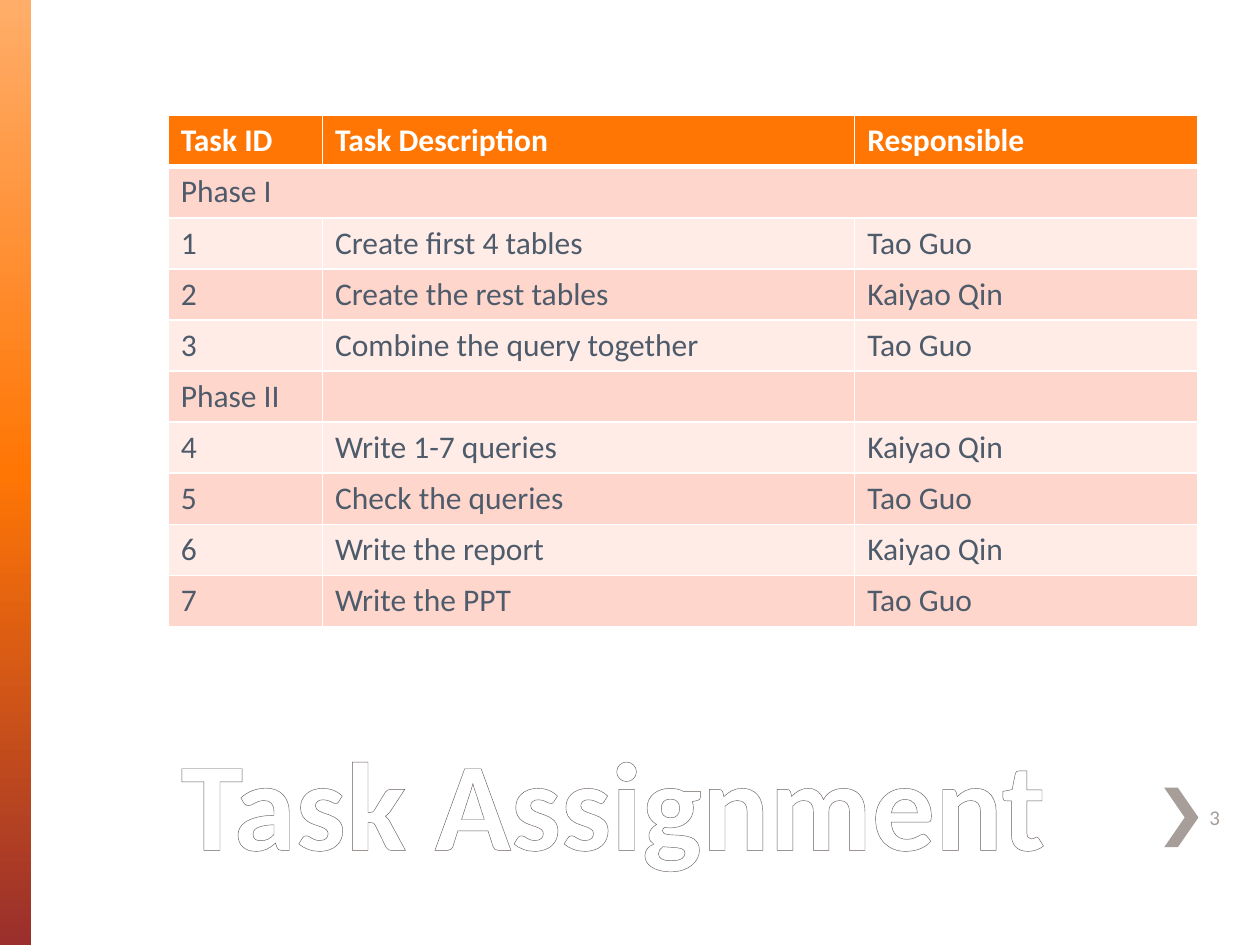
import copy

import lxml.etree
import pptx
import pptx.dml.color
import pptx.enum.shapes
import pptx.enum.text
import pptx.oxml.ns
import pptx.util

Cm = pptx.util.Cm
Pt = pptx.util.Pt
qn = pptx.oxml.ns.qn

FONT = "Calibri"
COLORS = {
    "white": "FFFFFF",
    "peach": "FFAD69",
    "orange": "FF7605",
    "brick": "9A2F2C",
    "taupe": "A79D99",
    "outline": "675D59",
    "slate": "4D5B6B",
    "band_dark": "FFD6CC",
    "band_light": "FFECE7",
}
TASKS = [
    ("Task ID", "Task Description", "Responsible"),
    ("Phase I", "", ""),
    ("1", "Create first 4 tables", "Tao Guo"),
    ("2", "Create the rest tables", "Kaiyao Qin"),
    ("3", "Combine the query together", "Tao Guo"),
    ("Phase II", "", ""),
    ("4", "Write 1-7 queries ", "Kaiyao Qin"),
    ("5", "Check the queries", "Tao Guo"),
    ("6", "Write the report", "Kaiyao Qin"),
    ("7", "Write the PPT", "Tao Guo"),
]


def rgb(name):
    return pptx.dml.color.RGBColor.from_string(COLORS[name])


def write(frame, text, size, color, bold=False):
    frame.text = text
    for run in frame.paragraphs[0].runs:
        run.font.name = FONT
        run.font.size = Pt(size)
        run.font.bold = bold
        run.font.color.rgb = rgb(color)


def add_line(parent, tag, position, width, color):
    line = lxml.etree.Element(qn(tag), w=str(Pt(width)))
    fill = lxml.etree.SubElement(line, qn("a:solidFill"))
    lxml.etree.SubElement(fill, qn("a:srgbClr"), val=COLORS[color])
    parent.insert(position, line)


def add_side_bar(slide, left, top, width, height):
    bar = slide.shapes.add_shape(
        pptx.enum.shapes.MSO_SHAPE.RECTANGLE, left, top, width, height)
    bar.shadow.inherit = False
    bar.line.fill.background()
    bar.fill.gradient()
    bar.fill.gradient_angle = 270
    stop_list = bar.element.spPr.find(".//" + qn("a:gsLst"))
    stop_list.append(copy.deepcopy(stop_list[0]))
    shades = [("peach", 0), ("orange", 0.5), ("brick", 1)]
    for stop, (color, position) in zip(bar.fill.gradient_stops, shades):
        stop.color.rgb = rgb(color)
        stop.position = position


def add_title(slide, left, top, width, height):
    title = slide.shapes.title
    title.left, title.top, title.width, title.height = left, top, width, height
    frame = title.text_frame
    write(frame, "Task Assignment", 72, "white", True)
    frame.auto_size = pptx.enum.text.MSO_AUTO_SIZE.NONE
    frame.vertical_anchor = pptx.enum.text.MSO_ANCHOR.BOTTOM
    heading = frame.paragraphs[0]
    heading.alignment = pptx.enum.text.PP_ALIGN.LEFT
    add_line(heading.runs[0].font._element, "a:ln", 0, 1, "outline")


def add_task_table(slide, left, top, width, height):
    tasks = slide.shapes.add_table(
        len(TASKS), len(TASKS[0]), left, top, width, height).table
    for column, share in zip(tasks.columns, (0.15, 0.517, 0.333)):
        column.width = int(width * share)
    for row_number, texts in enumerate(TASKS):
        header = row_number == 0
        band = "orange" if header else ("band_light", "band_dark")[row_number % 2]
        borders = {
            "a:lnL": 1,
            "a:lnR": 1,
            "a:lnT": 3 if row_number == 1 else 1,
            "a:lnB": 3 if header else 1,
        }
        for column_number, text in enumerate(texts):
            cell = tasks.cell(row_number, column_number)
            write(cell.text_frame, text, 18, "white" if header else "slate", header)
            properties = cell._tc.get_or_add_tcPr()
            for position, (side, weight) in enumerate(borders.items()):
                add_line(properties, side, position, weight, "white")
            cell.fill.solid()
            cell.fill.fore_color.rgb = rgb(band)
    tasks.cell(1, 0).merge(tasks.cell(1, 2))


def add_page_marker(slide, left, top, width, height):
    arrow_width = Cm(0.69)
    tip, notch = int(arrow_width * 0.6), int(arrow_width * 0.4)
    builder = slide.shapes.build_freeform(left + notch, top)
    builder.add_line_segments([
        (left, top),
        (left + tip, top + height // 2),
        (left, top + height),
        (left + notch, top + height),
        (left + arrow_width, top + height // 2),
    ])
    chevron = builder.convert_to_shape()
    chevron.shadow.inherit = False
    chevron.fill.solid()
    chevron.fill.fore_color.rgb = rgb("taupe")
    chevron.line.fill.background()

    number_left = left + Cm(0.66)
    page_number = slide.shapes.add_textbox(
        number_left, top + Cm(0.08), left + width - number_left, Cm(1.02))
    frame = page_number.text_frame
    frame.word_wrap = True
    frame.vertical_anchor = pptx.enum.text.MSO_ANCHOR.MIDDLE
    write(frame, "3", 12, "taupe")


def build_task_slide(deck):
    slide = deck.slides.add_slide(deck.slide_layouts[5])
    add_side_bar(slide, 0, 0, Cm(0.63), deck.slide_height)
    add_title(slide, Cm(3.39), Cm(14.6), Cm(20.11), Cm(3.18))
    add_task_table(slide, Cm(3.39), Cm(2.33), Cm(20.75), Cm(10.3))
    add_page_marker(slide, Cm(23.47), Cm(15.88), Cm(1.73), Cm(1.2))


deck = pptx.Presentation()
deck.slide_width, deck.slide_height = Cm(25.4), Cm(19.05)
build_task_slide(deck)
deck.save("out.pptx")
